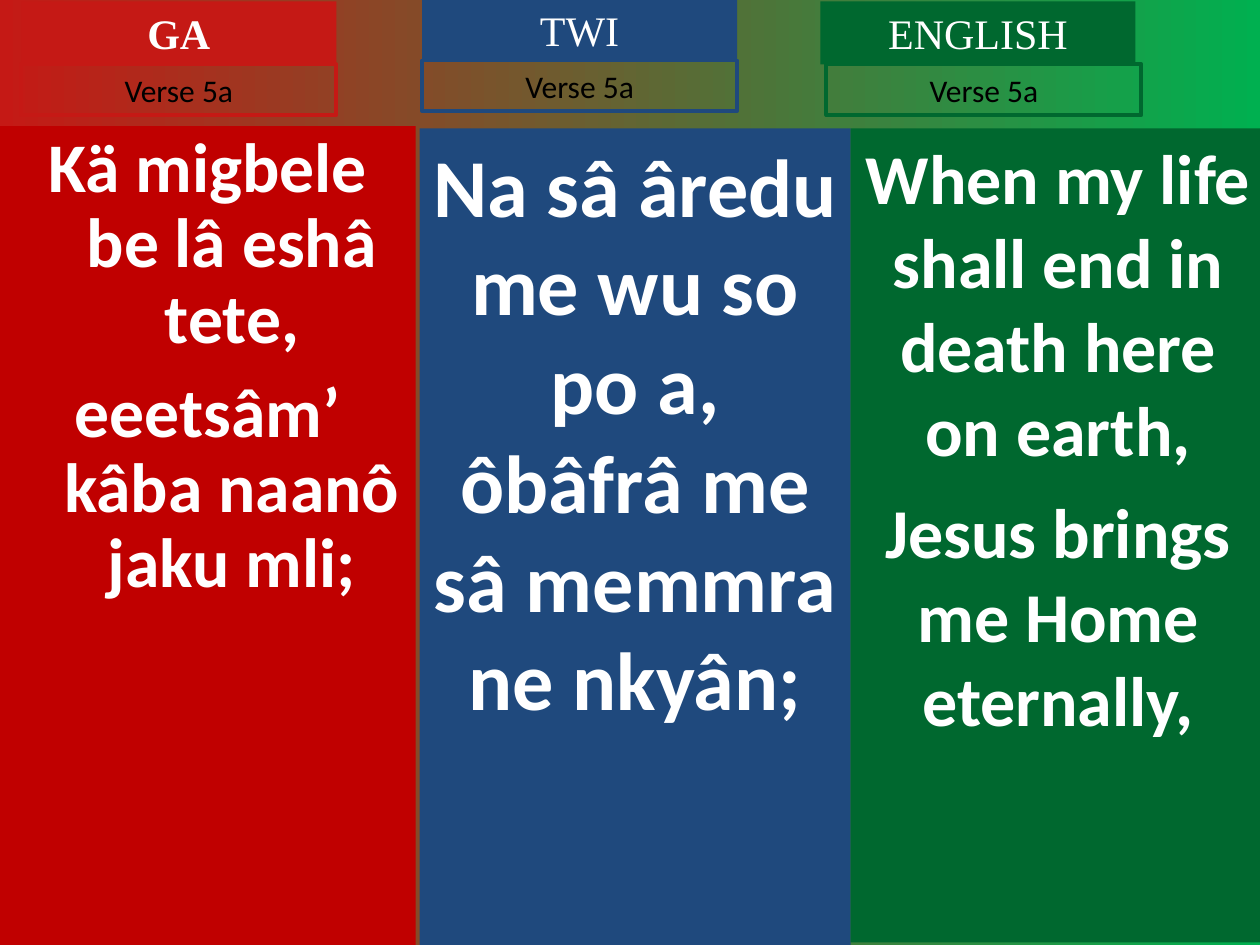
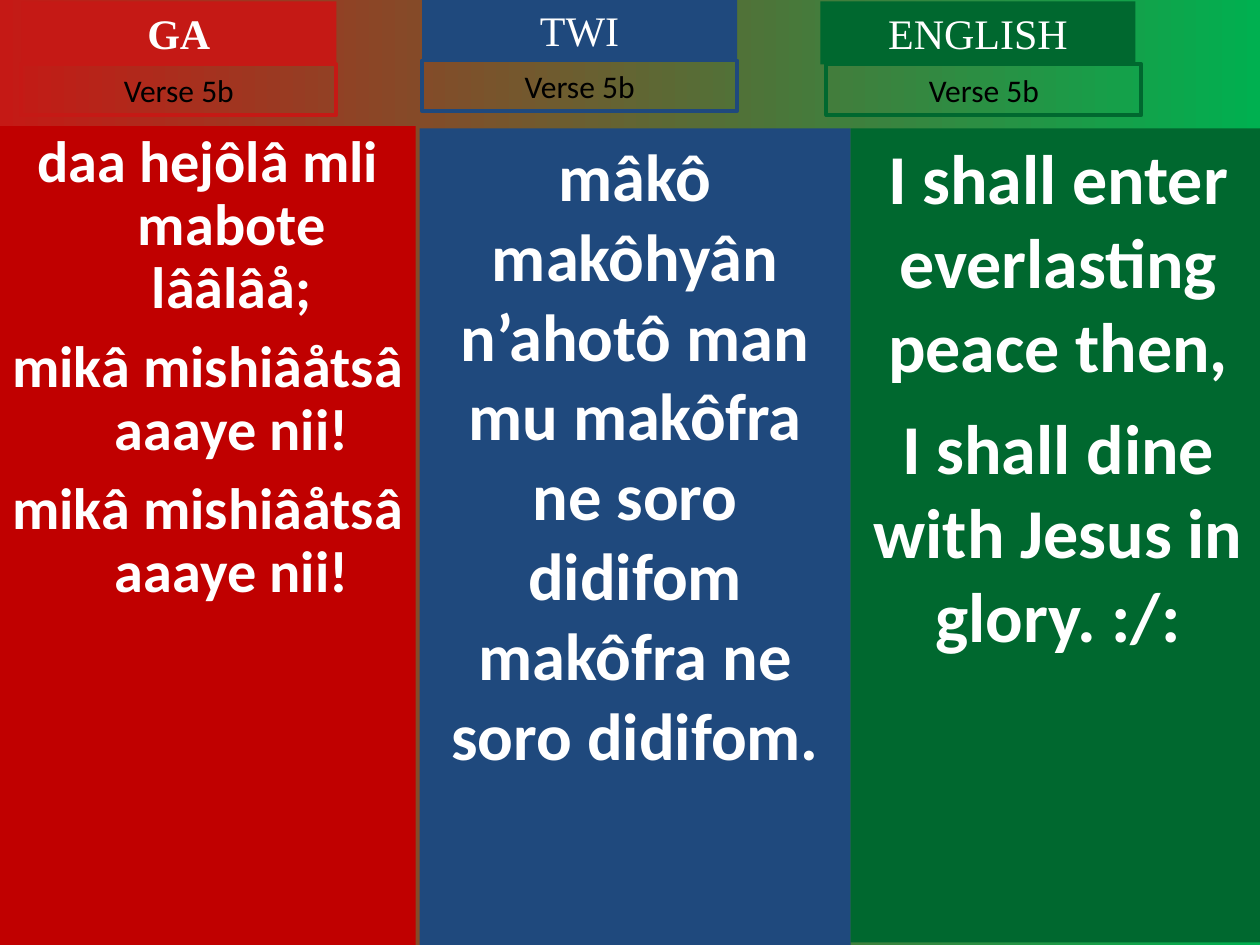
from lxml.etree import SubElement
from pptx import Presentation
from pptx.dml.color import RGBColor
from pptx.enum.shapes import MSO_SHAPE
from pptx.enum.text import MSO_ANCHOR, MSO_AUTO_SIZE, PP_ALIGN
from pptx.oxml.ns import qn
from pptx.util import Cm, Pt

# Each verse: its label, then size, space between lines and lines per language
VERSES = [
    ("Verse 5a", [
        (39.8, 10.7, ["Kä migbele be lâ eshâ tete,",
                      "eeetsâm’ kâba naanô jaku mli;"]),
        (47, 11.8, ["Na sâ âredu me wu so po a, ôbâfrâ me sâ memmra ne nkyân;"]),
        (40, 10, ["When my life shall end in death here on earth,",
                  "Jesus brings me Home eternally,"]),
    ]),
    ("Verse 5b", [
        (33.3, 9, ["daa hejôlâ mli mabote lââlâå;",
                   "mikâ mishiâåtsâ aaaye nii!",
                   "mikâ mishiâåtsâ aaaye nii!"]),
        (38, 9.5, ["mâkô makôhyân n’ahotô man mu makôfra ne soro didifom "
                   "makôfra ne soro didifom."]),
        (40, 10, ["I shall enter everlasting peace then,",
                  "I shall dine with Jesus in glory. :/:"]),
    ]),
]

WHITE, BLACK = "FFFFFF", "000000"
RED, BLUE, GREEN = "C51915", "1F497D", "00682F"
SWEEP = (RED, "00B050")
HEAD_W, HEAD_H, TAG_H = 6.35, 1.27, 1.02

# Boxes in cm; head and tag give left and top, panel also width and height
TONGUES = [
    dict(name="GA", bold=True, tint=RED, fill="C00000", head=(0.43, 0.03),
         tag=(0.43, 1.3), panel=(0, 2.54, 8.38, 16.51),
         format=dict(hang=0.97, lead=0.9)),
    dict(name="TWI", bold=False, tint=BLUE, fill=BLUE, head=(8.51, -0.03),
         tag=(8.51, 1.22), panel=(8.46, 2.59, 8.69, 16.46), format={}),
    dict(name="ENGLISH", bold=False, tint=GREEN, fill=GREEN, head=(16.54, 0.03),
         tag=(16.66, 1.3), panel=(17.15, 2.59, 8.36, 16.41), format={}),
]


def color(code):
    return RGBColor.from_string(code)


def place(shape, box, fill=None, line=None):
    shape.left, shape.top, shape.width, shape.height = map(Cm, box)
    shape.shadow.inherit = False
    if fill:
        shape.fill.solid()
        shape.fill.fore_color.rgb = color(fill)
    else:
        shape.fill.background()
    if line:
        shape.line.color.rgb = color(line)
        shape.line.width = Pt(2.25)
    else:
        shape.line.fill.background()


def write(shape, lines, size, font="Calibri", ink=WHITE, bold=False,
          gap=0, hang=0, lead=1.0):
    """Fill a shape with centred lines; hang is the hanging indent in cm."""
    frame = shape.text_frame
    frame.word_wrap = True
    frame.auto_size = MSO_AUTO_SIZE.NONE
    frame.vertical_anchor = MSO_ANCHOR.TOP
    frame.margin_left = frame.margin_right = Cm(0.23)
    frame.margin_top = frame.margin_bottom = Cm(0.13)
    for i, line in enumerate(lines):
        para = frame.add_paragraph() if i else frame.paragraphs[0]
        props = para._p.get_or_add_pPr()
        props.set("marL", str(Cm(hang)))
        props.set("indent", str(-Cm(hang)))
        SubElement(props, qn("a:buNone"))
        para.alignment = PP_ALIGN.CENTER
        para.line_spacing = lead
        para.space_before = Pt(gap if i else 0)
        run = para.add_run()
        run.text = line
        run.font.name = font
        run.font.size = Pt(size)
        run.font.bold = bold
        run.font.color.rgb = color(ink)


def paint(slide):
    back = slide.background.fill
    back.gradient()
    back.gradient_angle = 0
    for stop, code in zip(back.gradient_stops, SWEEP):
        stop.color.rgb = color(code)


def build(deck, label, verse):
    slide = deck.slides.add_slide(deck.slide_layouts.get_by_name("Comparison"))
    paint(slide)
    title, *bodies, spare = list(slide.placeholders)
    spare.element.getparent().remove(spare.element)

    def rect():
        return slide.shapes.add_shape(MSO_SHAPE.RECTANGLE, 0, 0, 0, 0)

    for i, (tongue, body) in enumerate(zip(TONGUES, bodies)):
        size, gap, lines = verse[i]
        place(body, tongue["panel"], fill=tongue["fill"])
        write(body, lines, size, bold=True, gap=gap, **tongue["format"])

        head = rect() if i else title
        place(head, (*tongue["head"], HEAD_W, HEAD_H), fill=tongue["tint"])
        write(head, [tongue["name"]], 24, font="Times New Roman",
              bold=tongue["bold"])

        tag = rect()
        place(tag, (*tongue["tag"], HEAD_W, TAG_H), line=tongue["tint"])
        write(tag, [label], 18, ink=BLACK)


def main():
    deck = Presentation()
    deck.slide_width, deck.slide_height = Cm(25.4), Cm(19.05)
    for label, verse in VERSES:
        build(deck, label, verse)
    deck.save("out.pptx")


if __name__ == "__main__":
    main()
